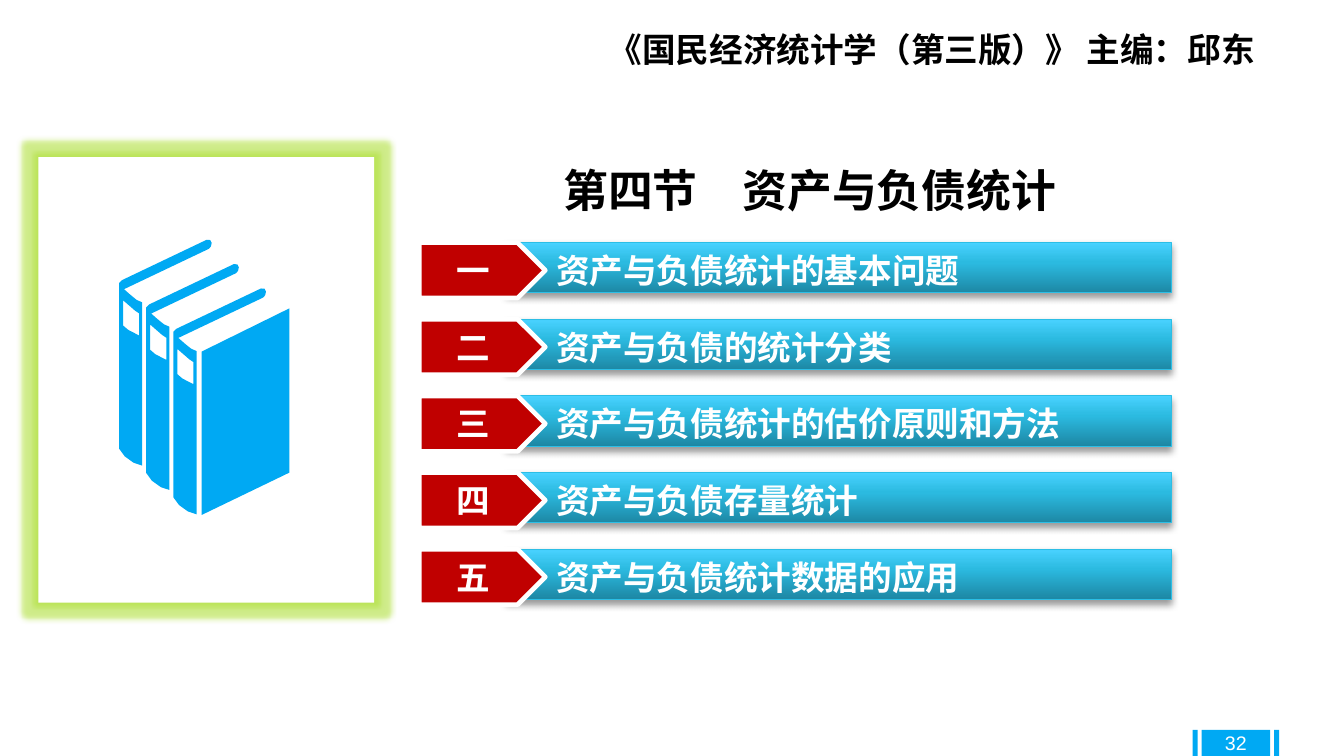
from copy import deepcopy

from lxml.etree import SubElement
from pptx import Presentation
from pptx.dml.color import RGBColor
from pptx.enum.shapes import MSO_SHAPE as SHAPE
from pptx.enum.text import MSO_ANCHOR as ANCHOR, PP_ALIGN as ALIGN
from pptx.oxml.ns import qn
from pptx.util import Pt

COLORS = {
    "blue": "00A9F3", "red": "C00000", "white": "FFFFFF", "black": "000000",
    "bar_dark": "1D87A4", "bar_mid": "2BBAE0", "bar_light": "49D2FF",
    "bar_line": "2CBEE5", "glow": "B0E03C",
}
CJK = "Noto Sans CJK SC"
SECTIONS = [
    ("一", "资产与负债统计的基本问题"),
    ("二", "资产与负债的统计分类"),
    ("三", "资产与负债统计的估价原则和方法"),
    ("四", "资产与负债存量统计"),
    ("五", "资产与负债统计数据的应用"),
]
SPINE = [
    (66.2, 2.9), (65.2, 0.9), (62.6, 0.7), (2.2, 29.5), (0, 31.7),
    (0, 149.8), (4.1, 155.4), (10.5, 160), (16.6, 162), (16.6, 45.4),
    (12.7, 43.7), (7.9, 39.8), (3.6, 36), (64.1, 7.2), (65.6, 5.6),
]
LABEL = [(14.4, 53.3), (14.4, 69.1), (6.5, 65), (2.9, 61.9),
         (2.9, 43.9), (11.3, 51.2)]
COVER = [(59, 80.6), (59, 197.3), (121.7, 167), (121.7, 49.7)]


def rgb(name):
    """Return the named colour."""
    return RGBColor.from_string(COLORS[name])


def add_effect(sp, tag, color, alpha, **attrs):
    """Give a shape one effect with a translucent colour."""
    effects = sp.element.spPr.find(qn("a:effectLst"))
    effect = SubElement(effects, qn(tag), {k: str(v) for k, v in attrs.items()})
    clr = SubElement(effect, qn("a:srgbClr"), val=COLORS[color])
    SubElement(clr, qn("a:alpha"), val=str(alpha * 1000))


def style_shape(sp, fill, line=None, weight=0.75):
    """Set fill and outline, without a shadow."""
    sp.shadow.inherit = False
    sp.fill.solid()
    sp.fill.fore_color.rgb = rgb(fill)
    if line:
        sp.line.color.rgb = rgb(line)
        sp.line.width = Pt(weight)
    else:
        sp.line.fill.background()


def add_box(s, kind, x, y, w, h, fill, **outline):
    """Add a styled preset shape."""
    sp = s.shapes.add_shape(kind, Pt(x), Pt(y), Pt(w), Pt(h))
    style_shape(sp, fill, **outline)
    return sp


def write_text(sp, text, size, color, font=CJK, bold=True, align=ALIGN.LEFT, wrap=True):
    """Write one formatted run, centred vertically."""
    tf = sp.text_frame
    tf.word_wrap = wrap
    tf.vertical_anchor = ANCHOR.MIDDLE
    p = tf.paragraphs[0]
    p.alignment = align
    r = p.add_run()
    r.text = text
    r.font.name, r.font.size, r.font.bold = font, Pt(size), bold
    r.font.color.rgb = rgb(color)
    SubElement(r._r.get_or_add_rPr(), qn("a:ea"), typeface=CJK)


def add_text(s, text, x, y, w, h, size, color, **style):
    """Add a text box."""
    sp = s.shapes.add_textbox(Pt(x), Pt(y), Pt(w), Pt(h))
    write_text(sp, text, size, color, **style)


def add_books(s, x, y):
    """Draw three overlapping books, the front one with its cover."""
    outlines = [[(px + 19.4 * i, py + 17.4 * i) for px, py in part]
                for i in range(3) for part in (SPINE, LABEL)]
    outlines.append(COVER)
    fb = None
    for outline in outlines:
        points = [(Pt(px), Pt(py)) for px, py in outline]
        if fb is None:
            fb = s.shapes.build_freeform(*points[0])
        else:
            fb.move_to(*points[0])
        fb.add_line_segments(points[1:], close=True)
    style_shape(fb.convert_to_shape(Pt(x), Pt(y)), "blue")


def add_emblem(s, x, y, w, h):
    """Draw the glowing frame with the books inside."""
    frame = add_box(s, SHAPE.RECTANGLE, x, y, w, h, "white")
    add_effect(frame, "a:glow", "glow", 60, rad=Pt(8))
    add_books(s, x + 57.6, y + 58.3)


def add_section(s, x, y, w, number, name):
    """Draw one numbered section bar."""
    bar = add_box(s, SHAPE.RECTANGLE, x + 62, y, w - 62, 36, "bar_mid", line="bar_line")
    bar.fill.gradient()
    first = next(bar.element.spPr.iter(qn("a:gs")))
    first.addnext(deepcopy(first))
    stops = ((0, "bar_dark"), (0.6, "bar_mid"), (1, "bar_light"))
    for stop, (position, color) in zip(bar.fill.gradient_stops, stops):
        stop.position = position
        stop.color.rgb = rgb(color)
    bar.fill.gradient_angle = 90
    add_effect(bar, "a:outerShdw", "black", 40, blurRad=Pt(5.2), dist=Pt(3),
               dir=5400000, rotWithShape=0)
    add_box(s, SHAPE.PENTAGON, x, y, 90, 39.6, "red", line="white", weight=3.35)
    for dx, text, font in ((19.4, number, "Arial"), (90.7, name, CJK)):
        add_text(s, text, x + dx, y + 1.6, 24 * len(text) + 14.4, 36, 24, "white",
                 font=font, wrap=False)


def add_contents(s, x, y, w):
    """Place the title and the section bars below it."""
    title = s.shapes.title
    title.left, title.top, title.width, title.height = Pt(x), Pt(y), Pt(558), Pt(46)
    write_text(title, "第四节　资产与负债统计", 32, "black", align=ALIGN.CENTER)
    for i, (number, name) in enumerate(SECTIONS):
        add_section(s, x, y + 61 + 54.75 * i, w, number, name)


def add_page_number(s, x, y, h):
    """Draw the page number between two thin bars."""
    for dx, w in ((0, 3.6), (6.5, 49), (58.3, 3.6)):
        add_box(s, SHAPE.RECTANGLE, x + dx, y, w, h, "blue")
    add_text(s, "32", x + 6.5, y - 5, 49, 28.8, 14, "white", font="Arial",
             bold=False, align=ALIGN.CENTER)


def main():
    """Build and save the slide."""
    prs = Presentation()
    prs.slide_width, prs.slide_height = Pt(960), Pt(540)
    s = prs.slides.add_slide(prs.slide_layouts[5])
    add_page_number(s, 851.8, 521.3, 19.4)
    add_emblem(s, 27.4, 112.3, 239.8, 318.2)
    add_contents(s, 299.5, 112.3, 537)
    add_text(s, "《国民经济统计学（第三版）》 主编：邱东", 427.7, 16.6, 520.6, 36.7,
             24, "black")
    prs.save("out.pptx")


if __name__ == "__main__":
    main()
